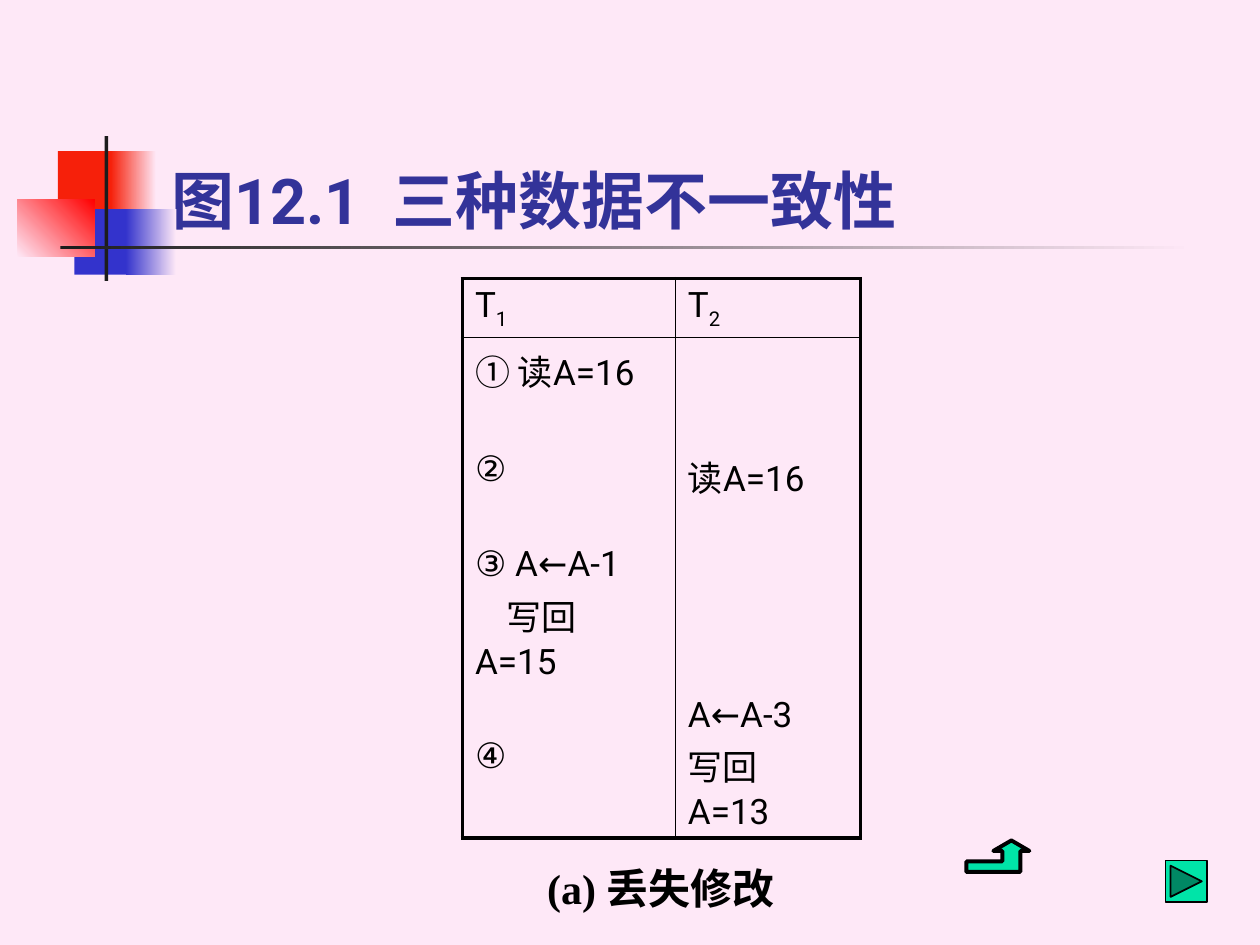
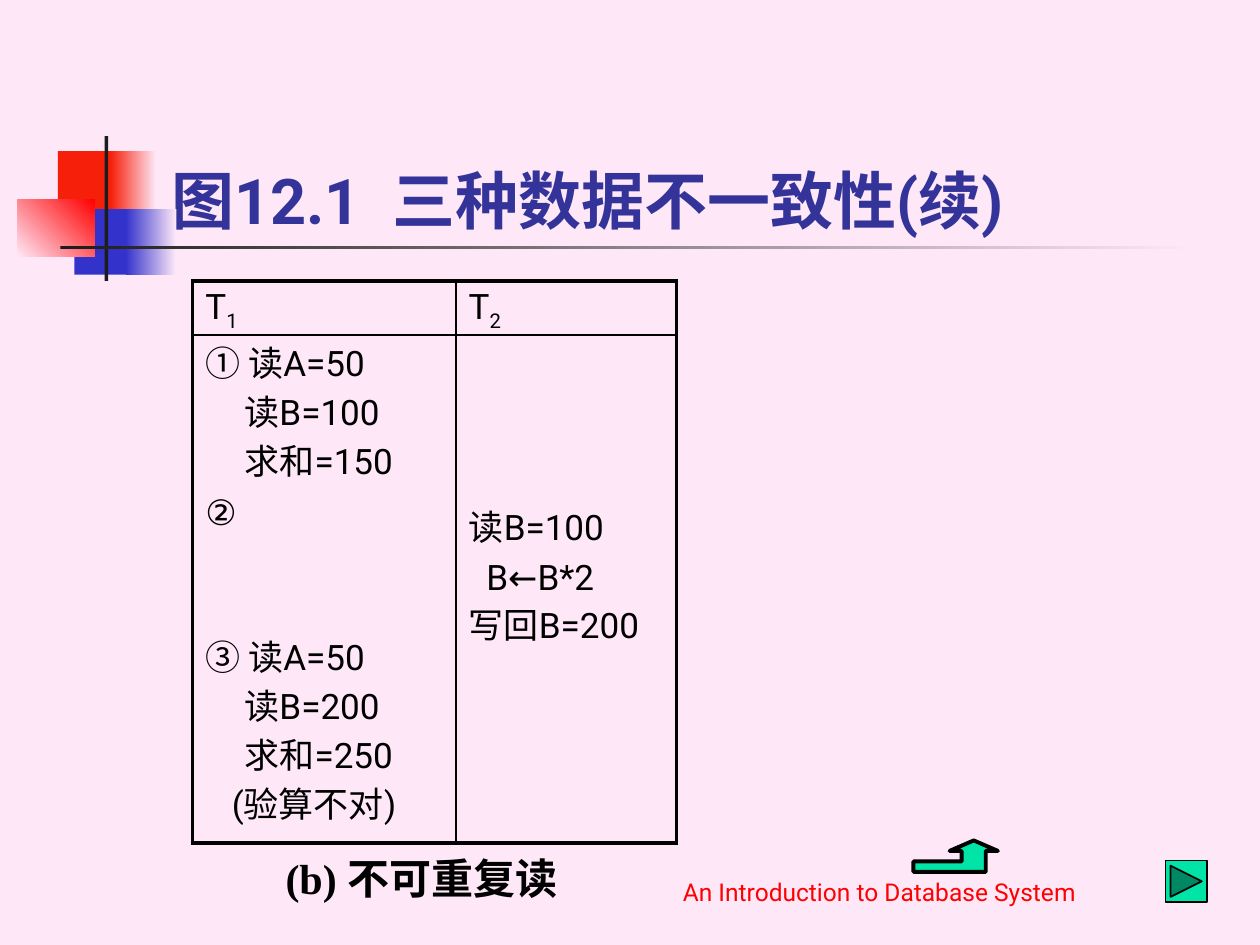
from lxml import etree
from pptx import Presentation
from pptx.dml.color import RGBColor
from pptx.enum.shapes import MSO_SHAPE
from pptx.enum.text import MSO_ANCHOR, PP_ALIGN
from pptx.oxml.ns import qn
from pptx.util import Inches, Pt

RECTANGLE = MSO_SHAPE.RECTANGLE
NEXT_BUTTON = MSO_SHAPE.ACTION_BUTTON_FORWARD_OR_NEXT
LEFT, CENTER = PP_ALIGN.LEFT, PP_ALIGN.CENTER
TOP, MIDDLE, BOTTOM = MSO_ANCHOR.TOP, MSO_ANCHOR.MIDDLE, MSO_ANCHOR.BOTTOM

PINK, BLACK, CHARCOAL = "FEE8F7", "000000", "1C1C1C"
ORANGE_RED, RED, BLUE = "F6200A", "FF0000", "3333CC"
TITLE_BLUE, GREEN = "333399", "00E4A8"
SANS, SERIF = "Roboto", "Times New Roman"
THICK, THIN = 2.25, 1

ORNAMENT = [
    ((0.46, 1.2, 0.48, 0.52), (ORANGE_RED,), 0),
    ((0.88, 1.2, 0.36, 0.52), (ORANGE_RED, PINK), 0),
    ((0.59, 1.66, 0.46, 0.52), (BLUE,), 0),
    ((1, 1.66, 0.4, 0.52), (BLUE, PINK), 0),
    ((0.14, 1.58, 0.61, 0.46), (PINK, RED), 45),
    ((0.83, 1.08, 0.03, 1.15), (CHARCOAL,), 0),
    ((0.48, 1.95, 9, 0.03), (CHARCOAL, PINK), 0),
]
ARROW_OUTLINE = [(5, 0), (3, 1), (4, 1), (4, 2), (0, 2),
                 (0, 3), (6, 3), (6, 1), (7, 1)]


def color(hex_string):
    return RGBColor.from_string(hex_string)


def box(*lengths):
    return [Inches(length) for length in lengths]


def write(paragraph, text, size=20, font=SANS, ink=BLACK, bold=False,
          align=LEFT, subscript="", before=0, indent=0, line=None):
    paragraph.alignment = align
    paragraph.space_before = Pt(before)
    if line:
        paragraph.line_spacing = Pt(line)
    if indent:
        properties = paragraph._p.get_or_add_pPr()
        properties.set("marL", "0")
        properties.set("indent", str(Inches(indent)))
    paragraph.text = text
    if subscript:
        lowered = paragraph.add_run()
        lowered.text = subscript
        lowered._r.get_or_add_rPr().set("baseline", "-25000")
    for run in paragraph.runs:
        run.font.size = Pt(size)
        run.font.name = font
        run.font.bold = bold
        run.font.color.rgb = color(ink)


def set_border(cell, side, width):
    border = etree.SubElement(cell._tc.get_or_add_tcPr(), qn("a:ln" + side),
                              w=str(Pt(width)))
    solid = etree.SubElement(border, qn("a:solidFill"))
    etree.SubElement(solid, qn("a:srgbClr"), val=BLACK)


class Deck:
    def __init__(self):
        self.presentation = Presentation()
        self.presentation.slide_width, self.presentation.slide_height = box(10, 7.5)
        background = self.presentation.slide_master.background.fill
        background.solid()
        background.fore_color.rgb = color(PINK)
        self.slide = None

    def start(self, heading):
        layout = self.presentation.slide_layouts[5]
        self.slide = self.presentation.slides.add_slide(layout)
        for place, colors, angle in ORNAMENT:
            self.block(place, colors, angle)
        title = self.slide.shapes.title
        title.left, title.top, title.width, title.height = box(1.26, 0.68, 8.52, 1.25)
        title.text_frame.vertical_anchor = BOTTOM
        write(title.text_frame.paragraphs[0], heading, size=36,
              ink=TITLE_BLUE, bold=True)

    def block(self, place, colors, angle=0, kind=RECTANGLE, outline=None):
        shape = self.slide.shapes.add_shape(kind, *box(*place))
        self.paint(shape, colors, angle, outline)

    def paint(self, shape, colors, angle=0, outline=None):
        shape.shadow.inherit = False
        if len(colors) == 1:
            shape.fill.solid()
            shape.fill.fore_color.rgb = color(colors[0])
        else:
            shape.fill.gradient()
            shape.fill.gradient_angle = angle
            for stop, shade in zip(shape.fill.gradient_stops, colors):
                stop.color.rgb = color(shade)
        if outline:
            shape.line.color.rgb = color(BLACK)
            shape.line.width = Pt(outline)
        else:
            shape.line.fill.background()

    def label(self, place, text, anchor=MIDDLE, wrap=False, **style):
        frame = self.slide.shapes.add_textbox(*box(*place)).text_frame
        frame.word_wrap = wrap
        frame.vertical_anchor = anchor
        write(frame.paragraphs[0], text, align=CENTER, **style)

    def caption(self, left, top, text):
        self.label((left, top, 2.83, 0.67), text, size=24, font=SERIF, bold=True)

    def schedule(self, left, top, widths, heights, steps, insets, line):
        table = self.slide.shapes.add_table(
            2, 2, *box(left, top, sum(widths), sum(heights))).table
        table.first_row = table.horz_banding = False
        for index in range(2):
            table.columns[index].width = Inches(widths[index])
            table.rows[index].height = Inches(heights[index])
            self.fill_cell(table.cell(0, index), 0, index, 0.05,
                           [("T", {"subscript": str(index + 1)})])
            self.fill_cell(table.cell(1, index), 1, index, insets[index],
                           steps[index], line=line)

    def fill_cell(self, cell, row, column, inset, lines, line=None):
        for side, outer in (("L", column == 0), ("R", column == 1),
                            ("T", row == 0), ("B", row == 1)):
            set_border(cell, side, THICK if outer else THIN)
        cell.fill.background()
        cell.vertical_anchor = TOP
        cell.margin_left = cell.margin_right = Inches(0.1)
        cell.margin_top, cell.margin_bottom = Inches(inset), 0
        frame = cell.text_frame
        for number, (text, style) in enumerate(lines):
            paragraph = frame.add_paragraph() if number else frame.paragraphs[0]
            write(paragraph, text, line=line, **style)

    def navigation(self, left, width):
        points = [(Inches(left + width * x / 7), Inches(6.67 + 0.25 * y / 3))
                  for x, y in ARROW_OUTLINE]
        builder = self.slide.shapes.build_freeform(*points[0])
        builder.add_line_segments(points[1:], close=True)
        self.paint(builder.convert_to_shape(), (GREEN,), outline=THICK)
        self.block((9.25, 6.83, 0.33, 0.33), (GREEN,), kind=NEXT_BUTTON, outline=THIN)


def lost_update(deck):
    deck.start("图12.1  三种数据不一致性")
    first = [
        ("① 读A=16", {}),
        ("②", {"before": 30}),
        ("③ A←A-1", {"before": 30}),
        ("写回\vA=15", {"before": 8, "indent": 0.25}),
        ("④", {"before": 30}),
    ]
    second = [
        ("读A=16", {}),
        ("A←A-3", {"before": 110}),
        ("写回\vA=13", {"before": 7}),
    ]
    deck.schedule(3.67, 2.21, (1.69, 1.47), (0.47, 3.97), (first, second),
                  insets=(0.13, 0.97), line=24)
    deck.caption(3.83, 6.71, "(a) 丢失修改")
    deck.navigation(7.67, 0.5)


def unrepeatable_read(deck):
    deck.start("图12.1  三种数据不一致性(续)")
    nested = {"indent": 0.31}
    first = [
        ("① 读A=50", {}),
        ("读B=100", nested),
        ("求和=150", nested),
        ("②", {}),
        ("③ 读A=50", {"before": 56}),
        ("读B=200", nested),
        ("求和=250", nested),
        ("(验算不对)", {"indent": 0.21}),
    ]
    second = [
        ("读B=100", {}),
        ("B←B*2", {"indent": 0.14}),
        ("写回B=200", {}),
    ]
    deck.label((4.37, 6.74, 5.22, 0.5), "An Introduction to Database System",
               anchor=BOTTOM, wrap=True, size=14, ink=RED)
    deck.schedule(1.53, 2.23, (2.09, 1.75), (0.43, 4.03), (first, second),
                  insets=(0.02, 1.32), line=28)
    deck.caption(1.93, 6.63, "(b) 不可重复读")
    deck.navigation(7.25, 0.67)


def main():
    deck = Deck()
    lost_update(deck)
    unrepeatable_read(deck)
    deck.presentation.save("out.pptx")


if __name__ == "__main__":
    main()
